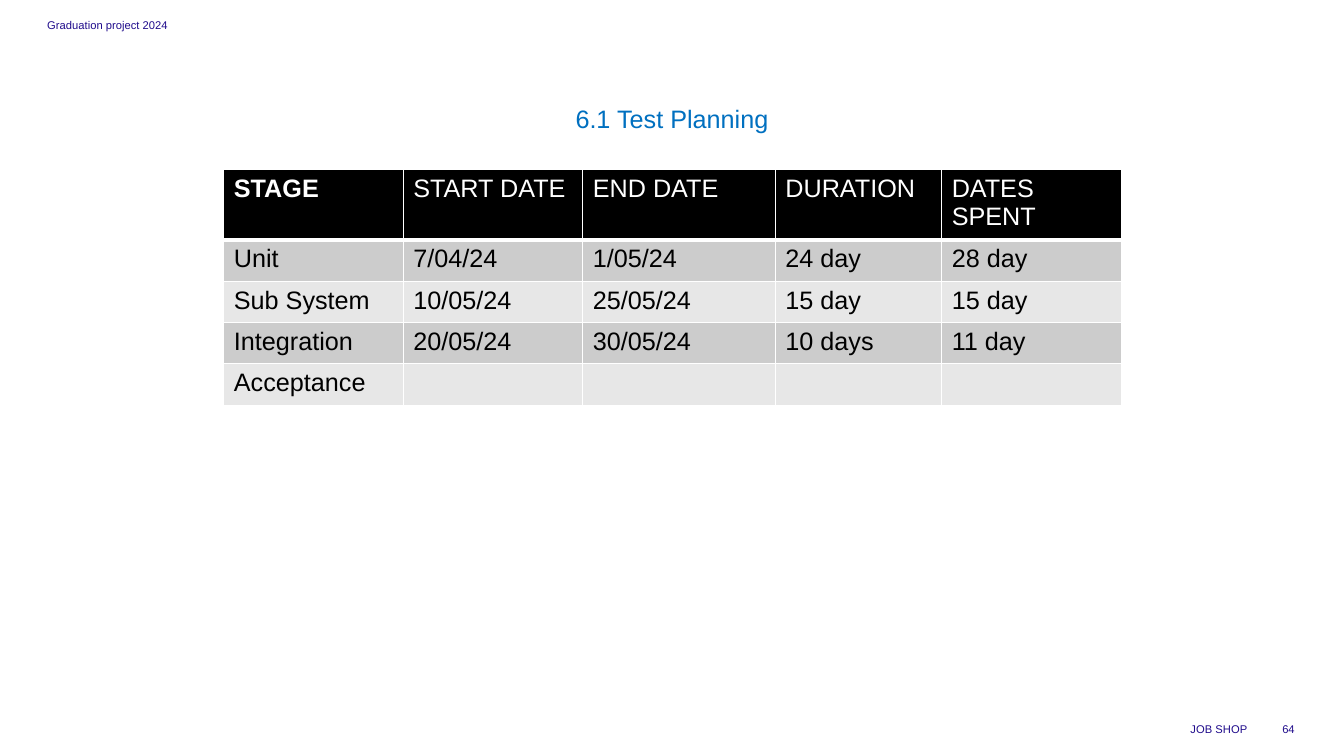
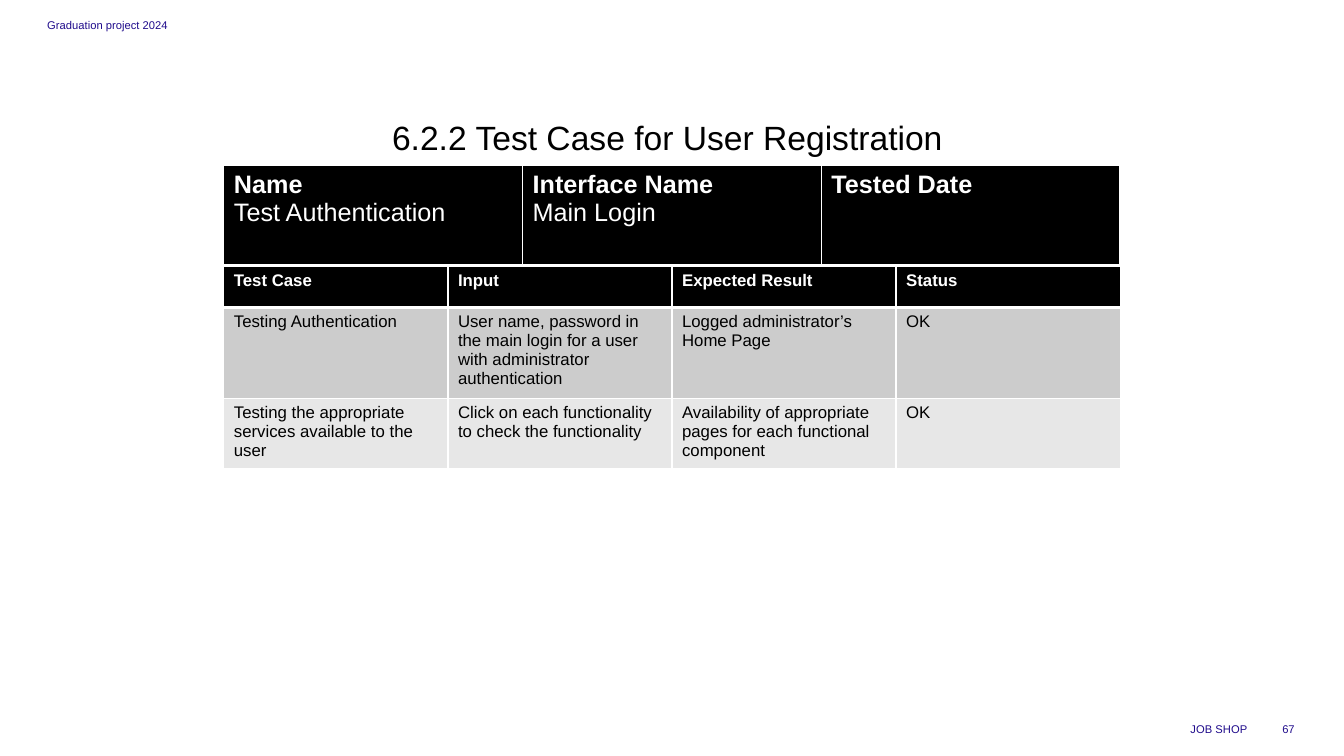
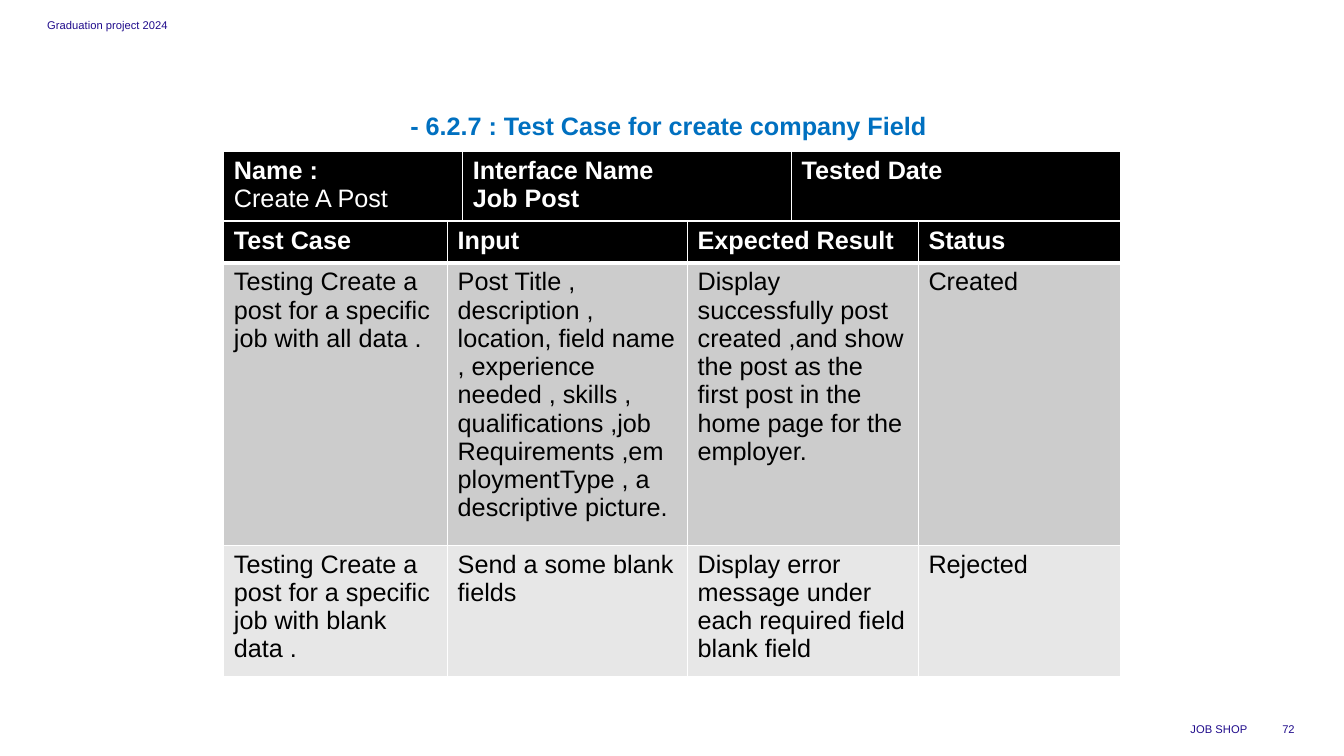
from lxml import etree
from pptx import Presentation
from pptx.dml.color import RGBColor
from pptx.enum.text import MSO_ANCHOR, PP_ALIGN
from pptx.oxml.ns import qn
from pptx.util import Inches, Pt

LEFT, CENTER, RIGHT = PP_ALIGN.LEFT, PP_ALIGN.CENTER, PP_ALIGN.RIGHT
TOP, MIDDLE = MSO_ANCHOR.TOP, MSO_ANCHOR.MIDDLE

FONT = "Arial"
INDIGO = RGBColor(0x20, 0x0C, 0x8C)
BLUE = RGBColor(0x00, 0x70, 0xC0)
BLACK = RGBColor(0x00, 0x00, 0x00)
WHITE = RGBColor(0xFF, 0xFF, 0xFF)
BANDS = (RGBColor(0xCC, 0xCC, 0xCC), RGBColor(0xE7, 0xE7, 0xE7))

SLIDE_WIDTH = 13.33
TABLE_LEFT = 2.22
TABLE_WIDTH = 8.89
THIN, THICK = 1, 3


def style(paragraph, size, color, bold=False):
    font = paragraph.font
    font.name = FONT
    font.size = Pt(size)
    font.bold = bold
    font.color.rgb = color


def add_label(slide, text, box, size, color, align=LEFT, anchor=MIDDLE, bold=False):
    frame = slide.shapes.add_textbox(*map(Inches, box)).text_frame
    frame.word_wrap = True
    frame.vertical_anchor = anchor
    paragraph = frame.paragraphs[0]
    paragraph.text = text
    paragraph.alignment = align
    style(paragraph, size, color, bold)


def new_slide(deck, number):
    """Add a blank slide with the running header, footer and page number."""
    slide = deck.slides.add_slide(deck.slide_layouts[6])
    add_label(slide, "Graduation project 2024", (0.37, 0.07, 3, 0.35), 8, INDIGO)
    add_label(slide, "JOB SHOP", (8.03, 7.03, 4.44, 0.4), 8, INDIGO, RIGHT)
    add_label(slide, str(number), (12.47, 7.03, 0.47, 0.4), 8, INDIGO, RIGHT)
    return slide


def add_title(slide, text, top, size, color, bold=False):
    box = (0, top, SLIDE_WIDTH, 0.4)
    add_label(slide, text, box, size, color, CENTER, TOP, bold)


def set_borders(cell, top, bottom):
    """Draw white lines around a cell; top and bottom are widths in points."""
    properties = cell._tc.get_or_add_tcPr()
    for side, width in (("L", THIN), ("R", THIN), ("T", top), ("B", bottom)):
        line = etree.SubElement(properties, qn(f"a:ln{side}"), w=str(Pt(width)))
        fill = etree.SubElement(line, qn("a:solidFill"))
        etree.SubElement(fill, qn("a:srgbClr"), val=str(WHITE))


def fill_cell(cell, lines, size, color, background):
    """Write (text, bold) lines, one paragraph each."""
    cell.fill.solid()
    cell.fill.fore_color.rgb = background
    frame = cell.text_frame
    for index, (text, bold) in enumerate(lines):
        paragraph = frame.add_paragraph() if index else frame.paragraphs[0]
        paragraph.text = text
        style(paragraph, size, color, bold)


def add_grid(slide, top, widths, heights, header, body=(), size=18):
    """Place a table with a black header row over grey banded body rows."""
    table = slide.shapes.add_table(
        len(heights), len(widths), Inches(TABLE_LEFT), Inches(top),
        Inches(TABLE_WIDTH), Inches(sum(heights))).table
    table.first_row = table.horz_banding = False
    for column, width in zip(table.columns, widths):
        column.width = Inches(width)
    for row, height in zip(table.rows, heights):
        row.height = Inches(height)

    for cell, lines in zip(table.rows[0].cells, header):
        set_borders(cell, THIN, THICK)
        fill_cell(cell, lines, size, WHITE, BLACK)
    for index, texts in enumerate(body):
        for cell, text in zip(table.rows[index + 1].cells, texts):
            set_borders(cell, THIN if index else THICK, THIN)
            fill_cell(cell, [(text, False)], size, BLACK, BANDS[index % 2])


def add_test_case(slide, top, summary, summary_widths, summary_height,
                  widths, heights, cases, size):
    """Stack a summary strip on the table of test cases."""
    add_grid(slide, top, summary_widths, [summary_height], summary)
    header = [[(text, True)] for text in ("Test Case", "Input", "Expected Result", "Status")]
    add_grid(slide, top + summary_height, widths, heights, header, cases, size)


def test_planning(deck):
    slide = new_slide(deck, 64)
    add_title(slide, "6.1 Test Planning", 0.98, 18, BLUE)
    stages = ("STAGE", "START DATE", "END DATE", "DURATION", "DATES SPENT")
    header = [[(text, text == "STAGE")] for text in stages]
    body = [
        ("Unit", "7/04/24", "1/05/24", "24 day", "28 day"),
        ("Sub System", "10/05/24", "25/05/24", "15 day", "15 day"),
        ("Integration", "20/05/24", "30/05/24", "10 days", "11 day"),
        ("Acceptance", "", "", "", ""),
    ]
    add_grid(slide, 1.68, [1.78, 1.78, 1.91, 1.65, 1.78], [0.7] + [0.41] * 4, header, body)


def user_registration(deck):
    slide = new_slide(deck, 67)
    add_title(slide, "6.2.2 Test Case for User Registration ", 1.11, 24, BLACK)
    summary = [
        [("Name", True), ("Test Authentication", False)],
        [("Interface Name", True), ("Main Login", False)],
        [("Tested Date", True)],
    ]
    cases = [
        ("Testing Authentication",
         "User name, password in the main login for a user with administrator authentication",
         "Logged administrator’s Home Page", "OK"),
        ("Testing the appropriate services available to the user",
         "Click on each functionality to check the functionality",
         "Availability of appropriate pages for each functional component", "OK"),
    ]
    add_test_case(slide, 1.64, summary, [TABLE_WIDTH / 3] * 3, 1,
                  [TABLE_WIDTH / 4] * 4, [0.41, 0.9, 0.69], cases, 12)


def company_field(deck):
    slide = new_slide(deck, 72)
    add_title(slide, "- 6.2.7 : Test Case for create company Field ", 1.05, 18, BLUE, True)
    summary = [
        [("Name :", True), ("Create A Post", False)],
        [("Interface Name", True), ("Job Post", True)],
        [("Tested Date", True)],
    ]
    cases = [
        ("Testing Create a post for a specific job with all data .",
         "Post Title , description , location, field name , experience needed , skills , "
         "qualifications ,job Requirements ,employmentType , a descriptive picture.",
         "Display successfully post created ,and show the post as the first post "
         "in the home page for the employer.", "Created"),
        ("Testing Create a post for a specific job with blank data .",
         "Send a some blank fields",
         "Display error message under each required field blank field", "Rejected"),
    ]
    add_test_case(slide, 1.5, summary, [2.37, 3.26, 3.26], 0.7,
                  [2.22, 2.38, 2.29, 2], [0.41, 2.79, 1.3], cases, 18)


def main():
    deck = Presentation()
    deck.slide_width = Inches(SLIDE_WIDTH)
    deck.slide_height = Inches(7.5)
    test_planning(deck)
    user_registration(deck)
    company_field(deck)
    deck.save("out.pptx")


if __name__ == "__main__":
    main()
